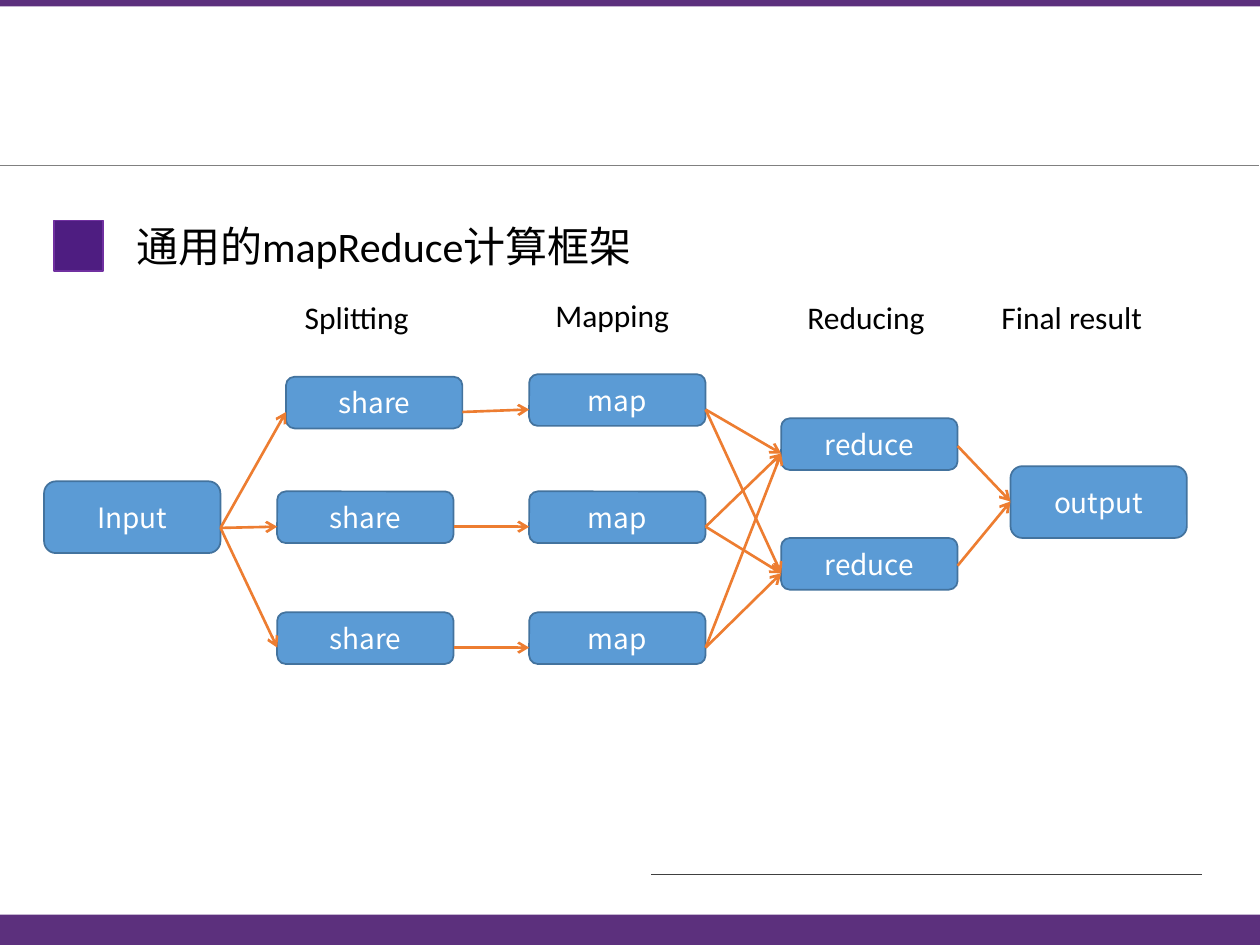
from dataclasses import dataclass

from lxml import etree
from pptx import Presentation
from pptx.dml.color import RGBColor
from pptx.enum import shapes, text
from pptx.oxml.ns import qn
from pptx.slide import Slide
from pptx.util import Inches, Pt


@dataclass(frozen=True)
class Theme:
    band: str = "5C307D"
    header_rule: str = "808080"
    footer_rule: str = "404040"
    marker: str = "4E1D81"
    marker_line: str = "7030A0"
    box: str = "5B9BD5"
    box_line: str = "43739E"
    arrow: str = "ED7D31"
    dark: str = "000000"
    light: str = "FFFFFF"
    latin_font: str = "Calibri"
    cjk_font: str = "Noto Sans CJK SC"
    title_size: int = 24
    label_size: int = 18
    box_size: int = 16


@dataclass(frozen=True)
class Box:
    """A step; arrows meet its sides at join_in and join_out below its top."""
    label: str
    left: float
    top: float
    height: float = 0.41
    join_in: float = 0.28
    join_out: float = 0.28
    width: float = 1.4

    @property
    def entry(self) -> tuple[float, float]:
        return self.left, self.top + self.join_in

    @property
    def exit(self) -> tuple[float, float]:
        return self.left + self.width, self.top + self.join_out


@dataclass(frozen=True)
class Label:
    text: str
    left: float
    top: float = 2.32
    width: float = 1.3


THEME = Theme()
ROWS = (3.9, 4.86)

SOURCE = Box("Input", 0.35, 3.82, height=0.57, join_out=0.37)
SHARES = [Box("share", 2.27, 2.99), *(Box("share", 2.2, top) for top in ROWS)]
MAPS = [Box("map", 4.2, top) for top in (2.97, *ROWS)]
REDUCERS = [Box("reduce", 6.2, top, join_out=0.22) for top in (3.32, 4.27)]
RESULT = Box("output", 8.02, 3.7, height=0.57)

LABELS = [
    Label("Splitting", 2.32),
    Label("Mapping", 4.31, top=2.3),
    Label("Reducing", 6.31),
    Label("Final result", 7.85, width=1.4),
]

FLOWS = [
    *((SOURCE, share) for share in SHARES),
    *zip(SHARES, MAPS),
    *((mapper, reducer) for mapper in MAPS for reducer in REDUCERS),
    *((reducer, RESULT) for reducer in REDUCERS),
]


def format_text(frame, size: int, color: str, font: str) -> None:
    for paragraph in frame.paragraphs:
        for run in paragraph.runs:
            run.font.size = Pt(size)
            run.font.name = font
            run.font.color.rgb = RGBColor.from_string(color)
            east_asian = etree.SubElement(run._r.get_or_add_rPr(), qn("a:ea"))
            east_asian.set("typeface", THEME.cjk_font)


def add_block(slide: Slide, kind, left: float, top: float, width: float,
              height: float, fill: str, line: str | None = None):
    shape = slide.shapes.add_shape(
        kind, Inches(left), Inches(top), Inches(width), Inches(height))
    shape.shadow.inherit = False
    shape.fill.solid()
    shape.fill.fore_color.rgb = RGBColor.from_string(fill)
    if line:
        shape.line.color.rgb = RGBColor.from_string(line)
        shape.line.width = Pt(1)
    else:
        shape.line.fill.background()
    return shape


def add_line(slide: Slide, start: tuple[float, float], end: tuple[float, float],
             color: str, width: float, arrow: bool = False) -> None:
    connector = slide.shapes.add_connector(
        shapes.MSO_CONNECTOR.STRAIGHT, *map(Inches, (*start, *end)))
    connector.line.color.rgb = RGBColor.from_string(color)
    connector.line.width = Pt(width)
    if arrow:
        tail = etree.SubElement(connector.line._get_or_add_ln(), qn("a:tailEnd"))
        tail.set("type", "arrow")
    etree.SubElement(connector._element.spPr, qn("a:effectLst"))


def add_box(slide: Slide, box: Box) -> None:
    shape = add_block(slide, shapes.MSO_SHAPE.ROUNDED_RECTANGLE, box.left, box.top,
                      box.width, box.height, THEME.box, THEME.box_line)
    frame = shape.text_frame
    frame.text = box.label
    frame.vertical_anchor = text.MSO_ANCHOR.MIDDLE
    frame.paragraphs[0].alignment = text.PP_ALIGN.CENTER
    format_text(frame, THEME.box_size, THEME.light, THEME.cjk_font)


def add_label(slide: Slide, label: Label) -> None:
    text_box = slide.shapes.add_textbox(
        *map(Inches, (label.left, label.top, label.width, 0.4)))
    frame = text_box.text_frame
    frame.word_wrap = True
    frame.text = label.text
    format_text(frame, THEME.label_size, THEME.dark, THEME.latin_font)


def add_frame(slide: Slide) -> None:
    """Draw the bands, rules and title marker around the diagram."""
    rectangle = shapes.MSO_SHAPE.RECTANGLE
    add_block(slide, rectangle, 0, 0, 10, 0.05, THEME.band)
    add_line(slide, (-0.01, 1.31), (9.99, 1.31), THEME.header_rule, 0.5)
    add_block(slide, rectangle, 0, 7.26, 10, 0.24, THEME.band)
    add_line(slide, (5.17, 6.94), (9.54, 6.94), THEME.footer_rule, 0.5)
    add_block(slide, rectangle, 0.43, 1.75, 0.39, 0.4,
              THEME.marker, THEME.marker_line)


def set_title(slide: Slide, wording: str) -> None:
    title = slide.shapes.title
    title.left, title.top, title.width, title.height = map(
        Inches, (0.98, 1.7, 8.19, 0.5))
    frame = title.text_frame
    frame.text = wording
    frame.word_wrap = True
    frame.auto_size = text.MSO_AUTO_SIZE.NONE
    frame.vertical_anchor = text.MSO_ANCHOR.TOP
    frame.paragraphs[0].alignment = text.PP_ALIGN.LEFT
    format_text(frame, THEME.title_size, THEME.dark, THEME.latin_font)


def main() -> None:
    presentation = Presentation()
    presentation.slide_width, presentation.slide_height = Inches(10), Inches(7.5)
    slide = presentation.slides.add_slide(presentation.slide_layouts[5])
    add_frame(slide)
    set_title(slide, "通用的mapReduce计算框架")
    for box in (SOURCE, *SHARES, *MAPS, *REDUCERS, RESULT):
        add_box(slide, box)
    for origin, target in FLOWS:
        add_line(slide, origin.exit, target.entry, THEME.arrow, 1.5, arrow=True)
    for label in LABELS:
        add_label(slide, label)
    presentation.save("out.pptx")


if __name__ == "__main__":
    main()
